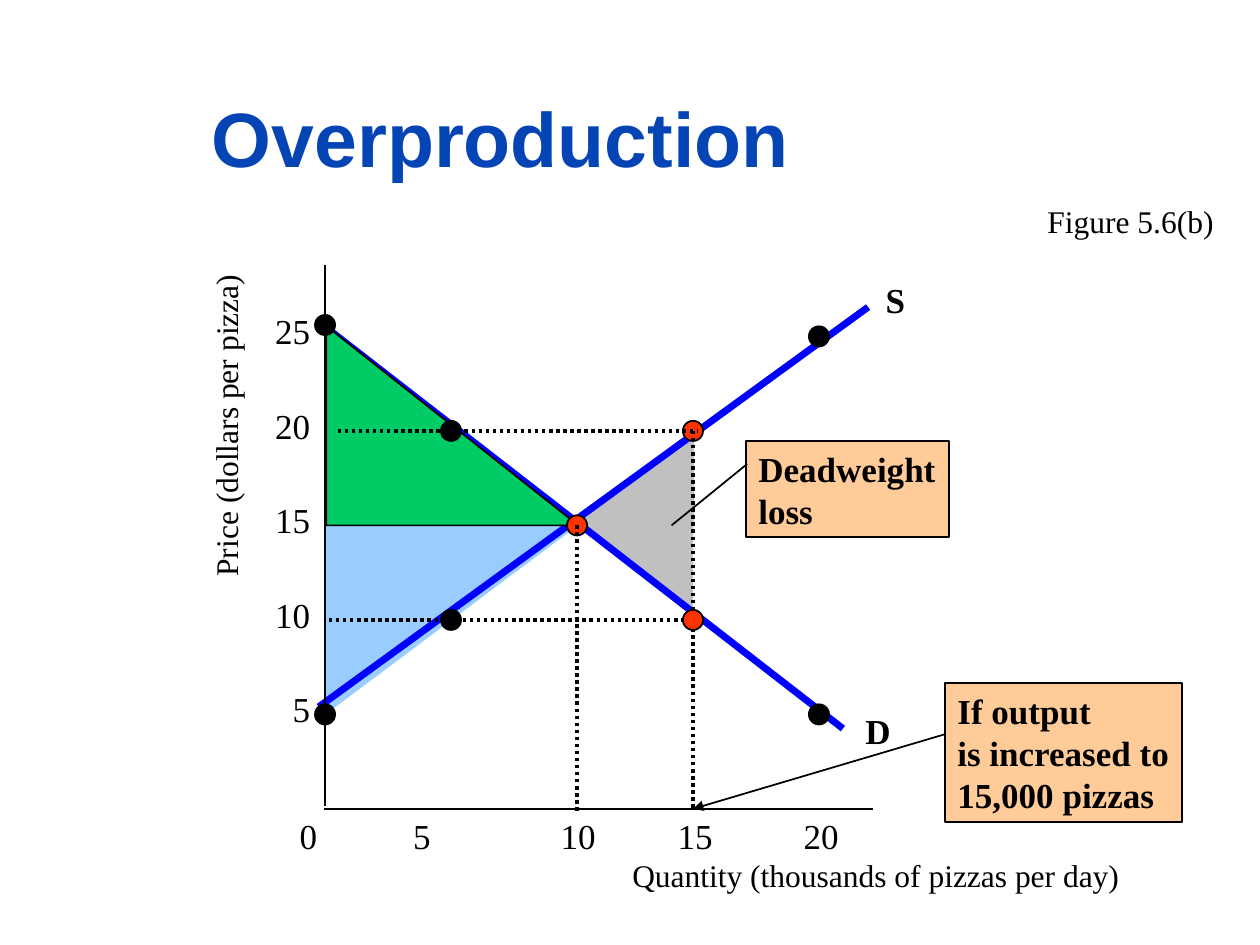
from dataclasses import dataclass

from lxml.etree import SubElement
from pptx import Presentation
from pptx.dml.color import RGBColor
from pptx.enum.dml import MSO_LINE
from pptx.enum.shapes import MSO_CONNECTOR, MSO_SHAPE
from pptx.enum.text import MSO_ANCHOR, MSO_AUTO_SIZE, PP_ALIGN
from pptx.oxml.ns import qn
from pptx.util import Inches, Pt


@dataclass(frozen=True)
class Theme:
    ink: str = "000000"
    head: str = "0544B5"
    curve: str = "0000FF"
    loss: str = "C0C0C0"
    buyer: str = "00CC66"
    seller: str = "99CCFF"
    hot: str = "FF3300"
    note: str = "FFCC99"
    serif: str = "Times New Roman"
    sans: str = "Arial"
    title: int = 44
    label: int = 20
    small: int = 18


@dataclass(frozen=True)
class Grid:
    left: float
    top: float
    width: float
    height: float
    cols: int
    rows: int

    def size(self, col, row):
        return (Inches(col * self.width / self.cols),
                Inches(row * self.height / self.rows))

    def spot(self, col, row):
        wide, high = self.size(col, row)
        return Inches(self.left) + wide, Inches(self.top) + high

    def box(self, col, row, wide, high):
        return *self.spot(col, row), *self.size(wide, high)


look = Theme()
page = Grid(0, 0, 10, 7.5, 10, 10)
plot = Grid(2.58, 2.67, 4, 3.75, 4, 5)


def assign(item, values):
    for name, value in values.items():
        setattr(item, name, value)


def color(name):
    return RGBColor.from_string(name)


def paint(shape, fill, edge=None):
    shape.shadow.inherit = False
    shape.fill.solid()
    shape.fill.fore_color.rgb = color(fill)
    if edge:
        shape.line.color.rgb = color(edge)
        shape.line.width = Pt(1)
    else:
        shape.line.fill.background()


def write(shape, lines, size=look.label, bold=False, align=PP_ALIGN.LEFT, wrap=False):
    frame = shape.text_frame
    assign(frame, {"text": "\n".join(lines), "word_wrap": wrap,
                   "auto_size": MSO_AUTO_SIZE.SHAPE_TO_FIT_TEXT,
                   "vertical_anchor": MSO_ANCHOR.TOP})
    for para in frame.paragraphs:
        para.alignment = align
        assign(para.font, {"name": look.serif, "size": Pt(size), "bold": bold})
        para.font.color.rgb = color(look.ink)


def label(slide, box, words, **style):
    shape = slide.shapes.add_textbox(*box)
    write(shape, [words], **style)
    return shape


def stroke(slide, grid, ends, hue=look.ink, width=1, dotted=False, arrow=False):
    start, end = (grid.spot(*point) for point in ends)
    line = slide.shapes.add_connector(MSO_CONNECTOR.STRAIGHT, *start, *end)
    line.line.color.rgb = color(hue)
    line.line.width = Pt(width)
    if dotted:
        line.line.dash_style = MSO_LINE.ROUND_DOT
    if arrow:
        SubElement(line.line._get_or_add_ln(), qn("a:tailEnd"), type="triangle")
    SubElement(line._element.spPr, qn("a:effectLst"))


def wedge(slide, grid, box, fill, turn=0, edge=None):
    shape = slide.shapes.add_shape(MSO_SHAPE.RIGHT_TRIANGLE, *grid.box(*box))
    shape.rotation = turn
    paint(shape, fill, edge)


def dot(slide, grid, col, row, fill=look.ink):
    x, y = grid.spot(col, row)
    side = Inches(0.16)
    shape = slide.shapes.add_shape(
        MSO_SHAPE.OVAL, x - side // 2, y - side // 2, side, side)
    paint(shape, fill, look.ink)


def header(slide, grid):
    title = slide.shapes.title
    left, top, width, height = grid.box(1.58, 0.33, 8.17, 1.67)
    assign(title, {"left": left, "top": top, "width": width, "height": height})
    title.text_frame.text = "Overproduction"
    title.text_frame.vertical_anchor = MSO_ANCHOR.BOTTOM
    para = title.text_frame.paragraphs[0]
    para.alignment = PP_ALIGN.LEFT
    assign(para.font, {"name": look.sans, "size": Pt(look.title), "bold": True})
    para.font.color.rgb = color(look.head)
    label(slide, grid.box(7.84, 2.07, 1.89, 0.53), "Figure 5.6(b)",
          size=look.small, align=PP_ALIGN.RIGHT, wrap=True)


def areas(slide, grid):
    wedge(slide, grid, (2, 1.97, 0.92, 0.92), look.loss, 180)
    wedge(slide, grid, (2.1, 0.87, 0.73, 1.23), look.loss, 270)
    wedge(slide, grid, (0.25, 1.67, 1.5, 2.67), look.seller, 90)


def scales(slide, grid):
    stroke(slide, grid, [(0, -0.76), (0, 4.97)])
    stroke(slide, grid, [(4.35, 5), (-0.01, 5)])
    label(slide, grid.box(2.34, 5.43, 4.07, 0.53),
          "Quantity (thousands of pizzas per day)", size=look.small)
    ticks = slide.shapes.add_textbox(*grid.box(-0.3, 4.99, 4.48, 0.57))
    ticks.text_frame.text = "0\t5\t10\t15\t20"
    para = ticks.text_frame.paragraphs[0]
    stops = SubElement(para._p.get_or_add_pPr(), qn("a:tabLst"))
    for stop in (0.9, 2.07, 3, 4):
        SubElement(stops, qn("a:tab"), pos=str(Inches(stop)), algn="l")
    assign(para.font, {"name": look.serif, "size": Pt(look.label)})
    para.font.color.rgb = color(look.ink)
    price = label(slide, grid.box(-2.19, 0.54, 2.8, 0.53),
                  "Price (dollars per pizza)", size=look.small)
    price.rotation = 270
    for row, value in enumerate(range(25, 0, -5)):
        wide = 0.48 if value > 9 else 0.34
        label(slide, grid.box(-0.02 - wide, row - 0.35, wide, 0.57),
              str(value), align=PP_ALIGN.RIGHT)


def curves(slide, grid):
    stroke(slide, grid, [(4.31, -0.31), (-0.05, 3.92)], look.curve, 4)
    scales(slide, grid)
    stroke(slide, grid, [(0.06, -0.04), (4.11, 4.15)], look.curve, 4)
    label(slide, grid.box(4.19, 3.88, 0.4, 0.57), "D", bold=True)
    label(slide, grid.box(4.35, -0.68, 0.35, 0.57), "S", bold=True)
    wedge(slide, grid, (0.01, -0.11, 2, 2.11), look.buyer, edge=look.ink)
    for spot in ((0, 4), (1, 3), (3.92, 0), (3.92, 4), (1, 1), (0, -0.12)):
        dot(slide, grid, *spot)
    for spot in ((2.92, 1), (2, 2)):
        dot(slide, grid, *spot, look.hot)


def guides(slide, grid):
    for ends in ([(0.03, 3), (2.89, 3)], [(2.92, 1), (2.92, 5)],
                 [(0.1, 1), (2.96, 1)], [(2, 2), (2, 5.03)]):
        stroke(slide, grid, ends, width=2, dotted=True)
    dot(slide, grid, 2.92, 3, look.hot)


def callout(slide, grid, box, lines, ends, arrow=False):
    shape = slide.shapes.add_shape(MSO_SHAPE.RECTANGLE, *grid.box(*box))
    paint(shape, look.note, look.ink)
    write(shape, lines, bold=True)
    stroke(slide, grid, ends, arrow=arrow)


def main():
    deck = Presentation()
    assign(deck, {"slide_width": Inches(10), "slide_height": Inches(7.5)})
    slide = deck.slides.add_slide(deck.slide_layouts[5])
    header(slide, page)
    areas(slide, plot)
    callout(slide, plot, (3.34, 1.11, 1.61, 1.01), ["Deadweight", "loss"],
            [(3.35, 1.35), (2.75, 2)])
    curves(slide, plot)
    guides(slide, plot)
    callout(slide, plot, (4.92, 3.67, 1.88, 1.47),
            ["If output", "is increased to", "15,000 pizzas"],
            [(4.92, 4.21), (2.92, 5)], arrow=True)
    deck.save("out.pptx")


if __name__ == "__main__":
    main()
